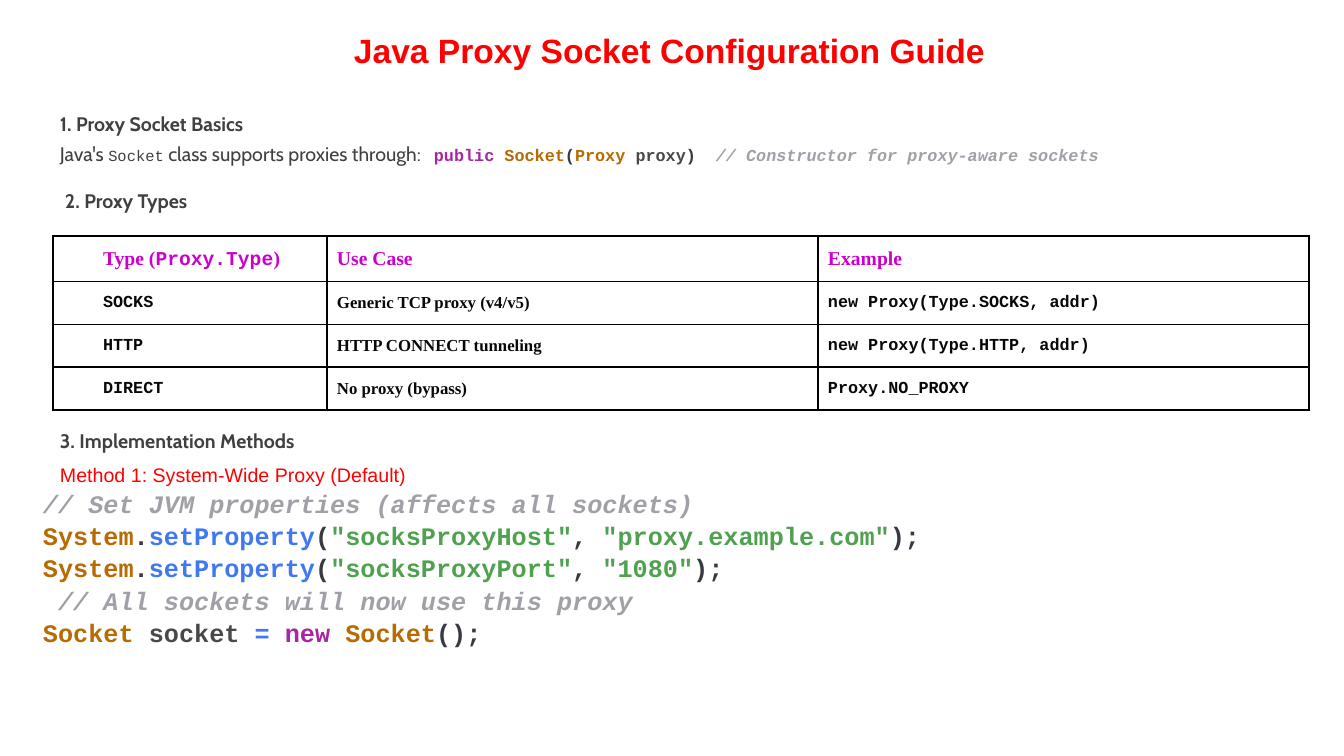
from dataclasses import dataclass
from typing import NamedTuple

from lxml import etree
from pptx import Presentation
from pptx.dml.color import RGBColor
from pptx.enum.text import MSO_ANCHOR, MSO_AUTO_SIZE
from pptx.oxml.ns import qn
from pptx.util import Emu, Pt

MIDDLE = MSO_ANCHOR.MIDDLE
GROW = MSO_AUTO_SIZE.SHAPE_TO_FIT_TEXT
PX = 914400 / 100.8

ARIAL, CABIN, MONO, SERIF = "Arial", "Cabin", "Courier New", "Times New Roman"
RED, GREY, INK, MAGENTA = "FF0000", "404040", "080808", "CC00CC"
# Syntax colours
TYPE, PUNCT, CALL, STRING = "B76B01", "383A42", "4078F2", "50A14F"
KEYWORD, NAME, COMMENT = "A626A4", "494949", "A0A1A7"


class Run(NamedTuple):
    text: str
    color: str
    font: str
    size: int
    bold: bool = True
    italic: bool = False


@dataclass
class TextBlock:
    left: int
    top: int
    width: int
    height: int
    lines: list[list[Run]]
    wrap: bool = False
    spacing: float | None = None


def px(n: float) -> Emu:
    return Emu(round(n * PX))


def rgb(value: str) -> RGBColor:
    return RGBColor.from_string(value)


def add_run(p, run: Run) -> None:
    r = p.add_run()
    r.text = run.text
    look = {"name": run.font, "size": Pt(run.size), "bold": run.bold, "italic": run.italic}
    for key, value in look.items():
        setattr(r.font, key, value)
    r.font.color.rgb = rgb(run.color)


def add_text(s, block: TextBlock):
    box = s.shapes.add_textbox(*map(px, (block.left, block.top, block.width, block.height)))
    tf = box.text_frame
    tf.word_wrap = block.wrap
    tf.auto_size = GROW
    for i, line in enumerate(block.lines):
        p = tf.add_paragraph() if i else tf.paragraphs[0]
        if block.spacing:
            p.line_spacing = block.spacing
        for run in line:
            add_run(p, run)
    return tf


def add_tabs(p, stops: list[int]) -> None:
    tabs = etree.SubElement(p._p.get_or_add_pPr(), qn("a:tabLst"))
    for stop in stops:
        etree.SubElement(tabs, qn("a:tab"), pos=str(px(stop)), algn="l")


def add_borders(cell) -> None:
    tcPr = cell._tc.get_or_add_tcPr()
    for i, side in enumerate(("lnL", "lnR", "lnT", "lnB")):
        ln = etree.Element(qn(f"a:{side}"), w=str(Pt(1)))
        fill = etree.SubElement(ln, qn("a:solidFill"))
        etree.SubElement(fill, qn("a:srgbClr"), val="000000")
        tcPr.insert(i, ln)


def add_grid(s, left: int, top: int, widths: list[int], heights: list[int],
             rows: list[list[list[Run]]]) -> None:
    frame = s.shapes.add_table(len(rows), len(widths), px(left), px(top),
                               px(sum(widths)), px(sum(heights)))
    table = frame.table
    table.first_row = table.horz_banding = False
    for col, width in zip(table.columns, widths):
        col.width = px(width)
    for row, height, contents in zip(table.rows, heights, rows):
        row.height = px(height)
        for c, (cell, runs) in enumerate(zip(row.cells, contents)):
            first = c == 0
            layout = {"margin_left": px(0 if first else 10), "margin_right": px(10),
                      "margin_top": px(10), "margin_bottom": px(10),
                      "vertical_anchor": MIDDLE}
            for key, value in layout.items():
                setattr(cell, key, value)
            cell.fill.background()
            add_borders(cell)
            p = cell.text_frame.paragraphs[0]
            p.line_spacing = 1.07
            if first:
                p.level = 1
                pPr = p._p.get_or_add_pPr()
                pPr.set("marL", str(px(50)))
                pPr.set("indent", "0")
            for run in runs:
                add_run(p, run)


def heading(text: str) -> Run:
    return Run(text, GREY, CABIN, 14)


def code(size: int, *parts: tuple[str, str]) -> list[Run]:
    return [Run(text, color, MONO, size, True, color == COMMENT) for text, color in parts]


def set_property(key: str, value: str) -> list[Run]:
    return code(18, ("System", TYPE), (".", PUNCT), ("setProperty", CALL), ("(", PUNCT),
                (f'"{key}"', STRING), (", ", PUNCT), (f'"{value}"', STRING), (");", PUNCT))


# Title, section headings and method label
LABELS = [
    TextBlock(344, 25, 657, 50, [[Run("Java Proxy Socket Configuration Guide", RED, ARIAL, 24)]]),
    TextBlock(55, 184, 154, 34, [[heading("2. Proxy Types")]]),
    TextBlock(50, 424, 280, 34, [[heading("3. Implementation Methods")]]),
    TextBlock(50, 458, 368, 34,
              [[Run("Method 1: System-Wide Proxy (Default)", RED, ARIAL, 14, False)]]),
]

# Sentence and constructor signature under the first heading
BASICS = [
    Run("Java's ", GREY, CABIN, 14, False),
    Run("Socket", GREY, MONO, 11, False),
    Run(" class supports proxies through:\t", GREY, CABIN, 14, False),
    *code(12, ("public ", KEYWORD), ("Socket", TYPE), ("(", PUNCT), ("Proxy", TYPE),
          (" proxy", NAME), (")\t", PUNCT), ("// Constructor for proxy-aware sockets", COMMENT)),
]

# Proxy types
HEADER = [
    [Run("Type (", MAGENTA, SERIF, 14), Run("Proxy.Type", MAGENTA, MONO, 14),
     Run(")", MAGENTA, SERIF, 14)],
    [Run("Use Case", MAGENTA, SERIF, 14)],
    [Run("Example", MAGENTA, SERIF, 14)],
]
PROXY_TYPES = [
    ("SOCKS", "Generic TCP proxy (v4/v5)", "new Proxy(Type.SOCKS, addr)"),
    ("HTTP", "HTTP CONNECT tunneling", "new Proxy(Type.HTTP, addr)"),
    ("DIRECT", "No proxy (bypass)", "Proxy.NO_PROXY"),
]

# Code sample
SAMPLE = [
    code(18, ("// Set JVM properties (affects all sockets)", COMMENT)),
    set_property("socksProxyHost", "proxy.example.com"),
    set_property("socksProxyPort", "1080"),
    code(18, (" ", NAME), ("// All sockets will now use this proxy", COMMENT)),
    code(18, ("Socket ", TYPE), ("socket ", NAME), ("= ", CALL), ("new ", KEYWORD),
         ("Socket", TYPE), ("();", PUNCT)),
]


def main() -> None:
    prs = Presentation()
    prs.slide_width, prs.slide_height = px(1344), px(756)
    s = prs.slides.add_slide(prs.slide_layouts[6])

    for label in LABELS:
        add_text(s, label)

    basics = TextBlock(50, 101, 1192, 68, [[heading("1. Proxy Socket Basics")]], True)
    p = add_text(s, basics).paragraphs[0]
    p.line_spacing = Pt(21.4)
    add_tabs(p, [374, 656])
    p.add_line_break()
    for run in BASICS:
        add_run(p, run)

    body = [[[Run(text, INK, font, 12)] for text, font in zip(row, (MONO, SERIF, MONO))]
            for row in PROXY_TYPES]
    add_grid(s, 53, 236, [274, 491, 491], [45] + [43] * len(body), [HEADER] + body)

    add_text(s, TextBlock(33, 481, 1167, 226, SAMPLE, True, 1.07))
    prs.save("out.pptx")


if __name__ == "__main__":
    main()
